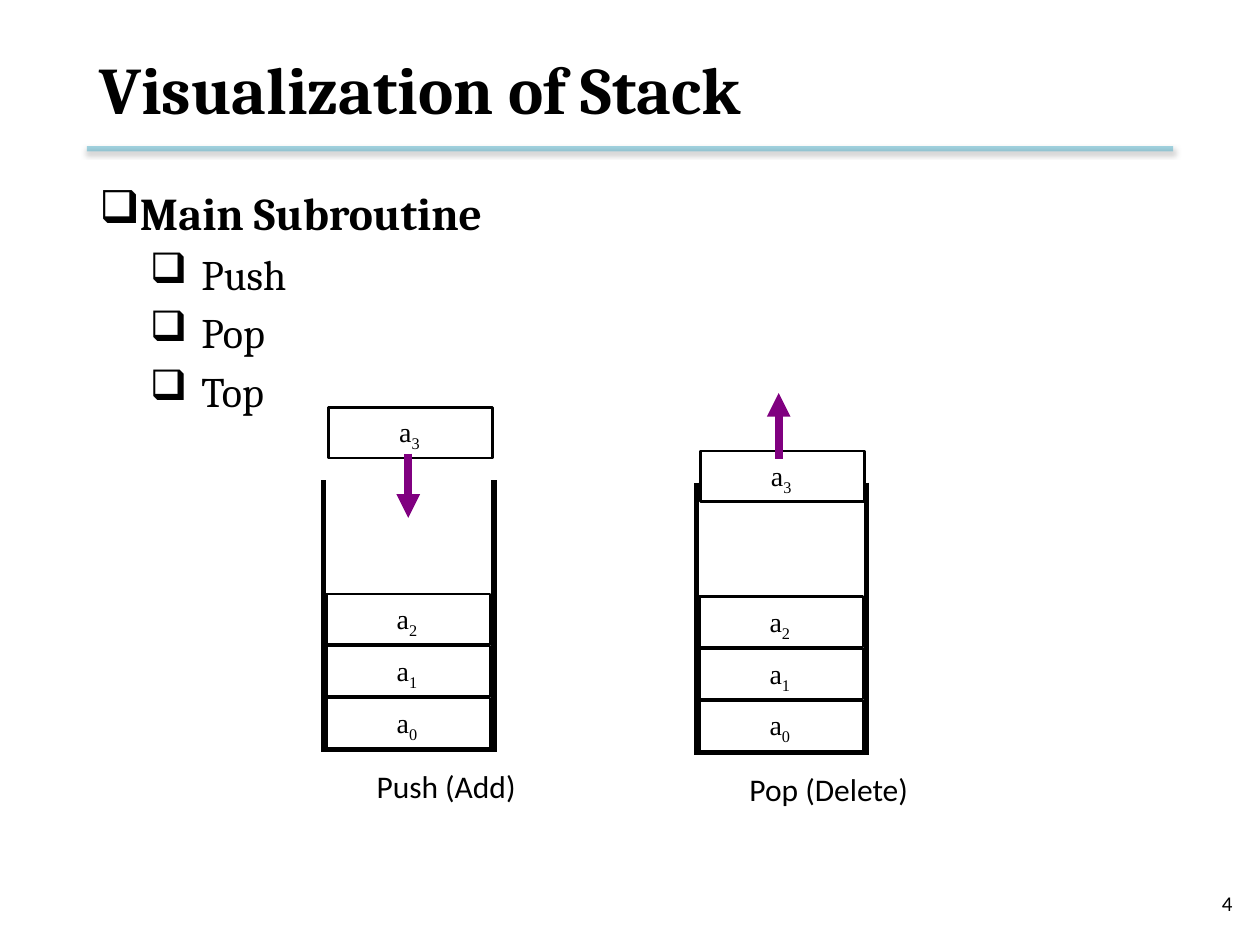
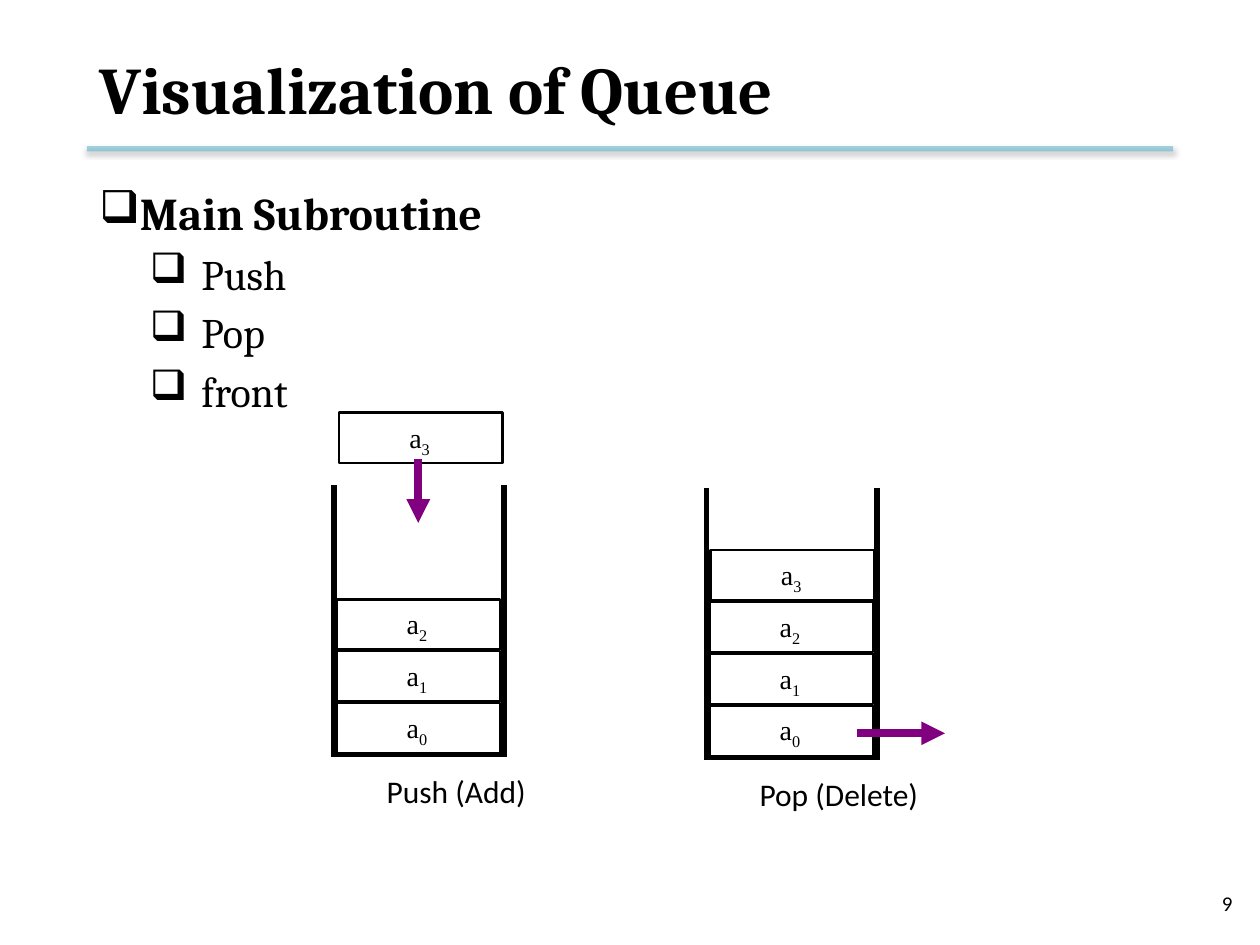
from lxml import etree
from pptx import Presentation
from pptx.dml.color import RGBColor
from pptx.enum.shapes import MSO_CONNECTOR, MSO_SHAPE
from pptx.enum.text import MSO_ANCHOR, PP_ALIGN
from pptx.oxml.ns import qn
from pptx.util import Inches, Pt

STRAIGHT = MSO_CONNECTOR.STRAIGHT
RECTANGLE = MSO_SHAPE.RECTANGLE
MIDDLE = MSO_ANCHOR.MIDDLE
LEFT, RIGHT, JUSTIFY = PP_ALIGN.LEFT, PP_ALIGN.RIGHT, PP_ALIGN.JUSTIFY

BLACK = RGBColor(0x00, 0x00, 0x00)
PURPLE = RGBColor(0x80, 0x00, 0x80)
TEAL = RGBColor(0x4B, 0xAC, 0xC6)
HEADING_FONT, PLAIN_FONT, ELEMENT_FONT = "Cambria", "Calibri", "Times New Roman"

SLIDE_WIDTH, SLIDE_HEIGHT = Inches(10), Inches(7.5)
COLUMNS, ROWS = 100, 75
MARGIN, CONTENT_WIDTH = 6.9, 86.2

CELL_WIDTH, CELL_HEIGHT, CELL_PITCH = 13, 4, 4.12
WALL_GAP, WALL_HEIGHT, FLOOR_DROP, BOTTOM_CELL_DROP = 13.5, 21.6, 21.4, 17.3
POP_SHIFT = (29.6, 0.2)


def across(columns):
    """Turn grid columns into a length."""
    return round(SLIDE_WIDTH * columns / COLUMNS)


def down(rows):
    """Turn grid rows into a length."""
    return round(SLIDE_HEIGHT * rows / ROWS)


def area(left, top, width, height):
    """Turn a grid area into left, top, width and height."""
    return across(left), down(top), across(width), down(height)


def set_font(font, face, size, bold=False):
    """Set the face, size and weight of black text."""
    font.name, font.size, font.bold = face, Pt(size), bold
    font.color.rgb = BLACK


def child(parent, tag, **attributes):
    """Append a drawing element to its parent."""
    element = etree.SubElement(parent, qn(tag))
    for key, value in attributes.items():
        element.set(key, str(value))
    return element


def add_text(slide, place, text, face, size, wrap=True):
    """Add a text box with one paragraph and return its frame."""
    frame = slide.shapes.add_textbox(*area(*place)).text_frame
    frame.word_wrap = wrap
    frame.text = text
    set_font(frame.paragraphs[0].font, face, size)
    return frame


def add_line(slide, start, end, color=BLACK, weight=3):
    """Draw a straight line and return it with its empty effect list."""
    line = slide.shapes.add_connector(
        STRAIGHT, across(start[0]), down(start[1]), across(end[0]), down(end[1]))
    line.line.color.rgb = color
    line.line.width = Pt(weight)
    return line, child(line._element.spPr, "a:effectLst")


def add_arrow(slide, start, end):
    """Draw a purple arrow for the direction an element moves."""
    arrow, _ = add_line(slide, start, end, PURPLE, 4.5)
    child(arrow._element.spPr.find(qn("a:ln")), "a:tailEnd", type="triangle")


def add_title_rule(slide):
    """Draw the translucent teal rule with a soft shadow below the title."""
    rule, effects = add_line(slide, (MARGIN, 11.8), (MARGIN + CONTENT_WIDTH, 11.8), TEAL)
    tint = rule._element.spPr.find(qn("a:ln")).find(".//" + qn("a:srgbClr"))
    child(tint, "a:alpha", val=50000)
    shadow = child(effects, "a:outerShdw", blurRad=Pt(3.1), dist=Pt(1.6),
                   dir=5400000, rotWithShape=0)
    child(child(shadow, "a:srgbClr", val="000000"), "a:alpha", val=38000)


def start_slide(deck, heading, number):
    """Add a slide with its title, rule and page number."""
    slide = deck.slides.add_slide(deck.slide_layouts[5])
    add_title_rule(slide)
    title = slide.shapes.title
    title.left, title.top, title.width, title.height = area(MARGIN, 1.7, CONTENT_WIDTH, 10.6)
    title.text_frame.text = heading
    title.text_frame.vertical_anchor = MIDDLE
    paragraph = title.text_frame.paragraphs[0]
    paragraph.alignment = LEFT
    set_font(paragraph.font, HEADING_FONT, 38, True)
    footer = add_text(slide, (75.5, 69.7, 23.3, 4), str(number), PLAIN_FONT, 12)
    footer.vertical_anchor = MIDDLE
    footer.paragraphs[0].alignment = RIGHT
    return slide


def add_subroutines(slide, operations):
    """List the operations below the bulleted subroutine heading."""
    frame = slide.shapes.add_textbox(*area(MARGIN, 14.2, CONTENT_WIDTH, 51)).text_frame
    frame.word_wrap = True
    frame.text = "\n".join(["Main Subroutine", *operations])
    for index, paragraph in enumerate(frame.paragraphs):
        is_heading = index == 0
        margin, indent = (2.5, -4.5) if is_heading else (8.1, -4.1)
        paragraph.alignment = JUSTIFY
        paragraph.level = 0 if is_heading else 1
        properties = paragraph._p.get_or_add_pPr()
        properties.set("marL", str(across(margin)))
        properties.set("indent", str(across(indent)))
        if not is_heading:
            child(child(properties, "a:spcBef"), "a:spcPct", val=20000)
        child(properties, "a:buChar", char="❑")
        set_font(paragraph.font, HEADING_FONT, 26 if is_heading else 24, is_heading)


def add_element(slide, left, top, index):
    """Draw one stored element as a cell labelled with its index."""
    cell = slide.shapes.add_shape(RECTANGLE, *area(left, top, CELL_WIDTH, CELL_HEIGHT))
    cell.shadow.inherit = False
    cell.fill.background()
    cell.line.color.rgb = BLACK
    cell.line.width = Pt(1.5)
    label = add_text(slide, (left + 4.6, top + 0.1, 4, 3.7), "a", ELEMENT_FONT, 16)
    subscript = label.paragraphs[0].add_run()
    subscript.text = str(index)
    subscript.font._element.set("baseline", "-25000")


def add_container(slide, left, top, caption, caption_width):
    """Draw an open container holding three elements, with a caption."""
    right, floor = left + WALL_GAP, top + FLOOR_DROP
    for wall in (left, right):
        add_line(slide, (wall, top), (wall, top + WALL_HEIGHT))
    add_line(slide, (left, floor), (right, floor))
    for index in range(3):
        add_element(slide, left + 0.2, top + BOTTOM_CELL_DROP - index * CELL_PITCH, index)
    add_text(slide, (left + 3.2, top + 22.3, caption_width, 4), caption, PLAIN_FONT, 18, False)


def add_containers(slide, left, top):
    """Draw the push and pop containers and return the pop corner."""
    add_container(slide, left, top, "Push (Add)", 14.6)
    add_element(slide, left + 0.4, top - 5.75, 3)
    add_arrow(slide, (left + 6.7, top - 2.1), (left + 6.7, top + 3))
    pop_left, pop_top = left + POP_SHIFT[0], top + POP_SHIFT[1]
    add_container(slide, pop_left, pop_top, "Pop (Delete)", 16.3)
    return pop_left, pop_top


def add_stack(deck):
    """Build the stack slide, where the last element leaves at the top."""
    slide = start_slide(deck, "Visualization of Stack", 4)
    add_subroutines(slide, ["Push", "Pop", "Top"])
    left, top = add_containers(slide, 25.7, 38.1)
    add_element(slide, left + 0.3, top - 2.5, 3)
    add_arrow(slide, (left + 6.5, top - 1.9), (left + 6.5, top - 7.1))


def add_queue(deck):
    """Build the queue slide, where the first element leaves at the bottom."""
    slide = start_slide(deck, "Visualization of Queue", 9)
    add_subroutines(slide, ["Push", "Pop", "front"])
    left, top = add_containers(slide, 26.5, 38.5)
    add_element(slide, left + 0.3, top + BOTTOM_CELL_DROP - 3 * CELL_PITCH, 3)
    add_arrow(slide, (left + 11.9, top + 19.5), (left + 18.9, top + 19.5))


def main():
    """Build and save the deck."""
    deck = Presentation()
    deck.slide_width, deck.slide_height = SLIDE_WIDTH, SLIDE_HEIGHT
    add_stack(deck)
    add_queue(deck)
    deck.save("out.pptx")


if __name__ == "__main__":
    main()
